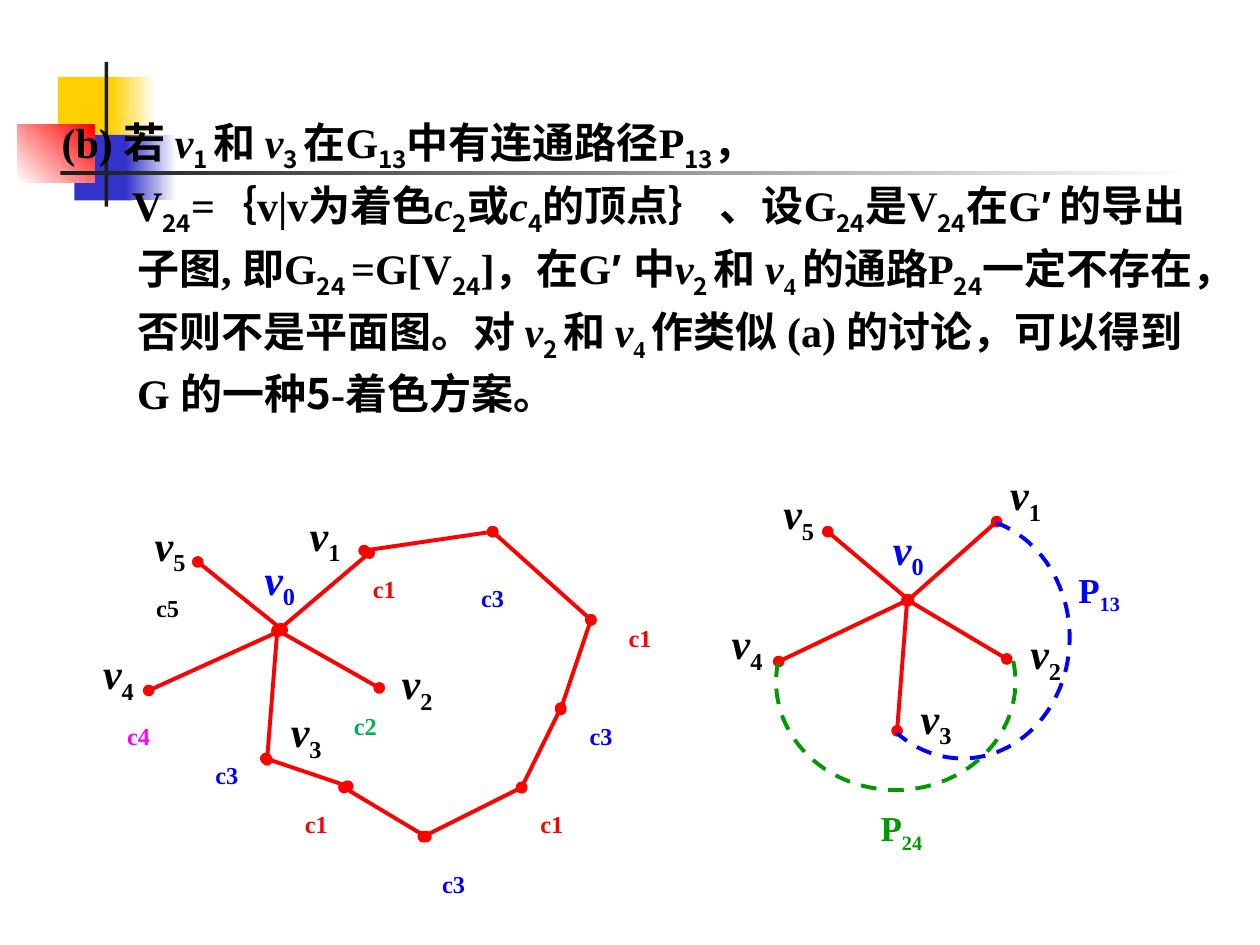
from math import cos, radians, sin

from lxml import etree
from pptx import Presentation
from pptx.dml.color import RGBColor
from pptx.enum.dml import MSO_LINE
from pptx.enum.shapes import MSO_CONNECTOR, MSO_SHAPE
from pptx.enum.text import MSO_ANCHOR, MSO_AUTO_SIZE, PP_ALIGN
from pptx.oxml.ns import qn
from pptx.util import Inches, Pt

RECT = MSO_SHAPE.RECTANGLE
STRAIGHT = MSO_CONNECTOR.STRAIGHT
DASH = MSO_LINE.DASH
MIDDLE, TOP = MSO_ANCHOR.MIDDLE, MSO_ANCHOR.TOP
CENTER, LEFT = PP_ALIGN.CENTER, PP_ALIGN.LEFT
FIT = MSO_AUTO_SIZE.SHAPE_TO_FIT_TEXT
SERIF, SANS, ARIAL = "Times New Roman", "Noto Sans CJK SC", "Arial"
COLORS = {
    "yellow": "FFCF01", "navy": "3333CC", "dark": "1C1C1C", "white": "FFFFFF",
    "red": "FF0000", "blue": "0000FF", "green": "009900", "leaf": "00B050",
    "magenta": "FF00FF", "black": "000000",
}
RGB = {name: RGBColor.from_string(value) for name, value in COLORS.items()}


def add_run(p, text, color="black", size=24, name=SERIF, italic=False, sub=False):
    r = p.add_run()
    r.text = text
    fmt = {"size": Pt(size), "bold": True, "italic": italic, "name": name}
    for key, value in fmt.items():
        setattr(r.font, key, value)
    r.font.color.rgb = RGB[color]
    rPr = r._r.get_or_add_rPr()
    if sub:
        rPr.set("baseline", "-25000")
    etree.SubElement(rPr, qn("a:ea")).set("typeface", SANS)


def add_label(shapes, x, y, w, h, runs, inset=True):
    tf = shapes.add_textbox(Inches(x), Inches(y), Inches(w), Inches(h)).text_frame
    fmt = {"word_wrap": not inset, "auto_size": FIT,
           "vertical_anchor": TOP if inset else MIDDLE}
    if not inset:
        fmt |= {"margin_" + side: 0 for side in ("left", "top", "right", "bottom")}
    for key, value in fmt.items():
        setattr(tf, key, value)
    p = tf.paragraphs[0]
    p.alignment = LEFT if inset else CENTER
    for text, style in runs:
        add_run(p, text, **style)


prs = Presentation()
prs.slide_width, prs.slide_height = Inches(10), Inches(7.5)
s = prs.slides.add_slide(prs.slide_layouts[6])

decor = [
    (0.46, 0.61, 0.48, 0.52, ["yellow"], 0),
    (0.88, 0.61, 0.36, 0.52, ["yellow", "white"], 0),
    (0.59, 1.07, 0.46, 0.52, ["navy"], 0),
    (1, 1.07, 0.4, 0.52, ["navy", "white"], 0),
    (0.14, 0.99, 0.61, 0.46, ["white", "red"], 45),
    (0.83, 0.49, 0.03, 1.15, ["dark"], 0),
    (0.48, 1.36, 9, 0.03, ["dark", "white"], 0),
]
for x, y, w, h, fills, angle in decor:
    sp = s.shapes.add_shape(RECT, Inches(x), Inches(y), Inches(w), Inches(h))
    sp.shadow.inherit = False
    sp.line.fill.background()
    if len(fills) == 1:
        sp.fill.solid()
        sp.fill.fore_color.rgb = RGB[fills[0]]
    else:
        sp.fill.gradient()
        sp.fill.gradient_angle = angle
        for stop, color in zip(sp.fill.gradient_stops, fills):
            stop.color.rgb = RGB[color]

STYLES = {
    "t": {}, "i": {"italic": True}, "n": {"name": SANS}, "a": {"name": ARIAL},
    "sub": {"name": SANS, "sub": True}, "sub_t": {"sub": True}, "small": {"size": 18},
}
body = [
    (-0.6, [
        ("(b) 若 ", "t"), ("v", "i"), ("1 ", "sub"), ("和 ", "t"), ("v", "i"),
        ("3 ", "sub"), ("在G", "t"), ("13", "sub"), ("中有连通路径P", "t"),
        ("13", "sub"), ("，", "t"),
    ]),
    (-0.04, [
        ("V", "t"), ("24", "sub"), ("=｛v|v为", "t"), ("着色", "n"), ("c", "i"),
        ("2", "sub"), ("或", "t"), ("c", "i"), ("4", "sub"), ("的顶点｝ ", "n"),
        ("、设G", "t"), ("24", "sub"), ("是V", "t"), ("24", "sub"), ("在G", "t"),
        ("′", "a"), (" ", "small"), ("的导出子图, 即G", "t"), ("24 ", "sub"),
        ("=G[V", "t"), ("24", "sub"), ("]，在G", "t"), ("′ ", "a"), ("中", "t"),
        ("v", "i"), ("2 ", "sub"), ("和 ", "t"), ("v", "i"), ("4 ", "sub_t"),
        ("的通路P", "t"), ("24", "sub"), ("一定不存在，否则不是平面图。对 ", "t"),
        ("v", "i"), ("2 ", "sub"), ("和 ", "t"), ("v", "i"), ("4 ", "sub_t"),
        ("作类似 (a) 的讨论，可以得到G 的一种", "t"), ("5", "n"), ("-着色方案。", "t"),
    ]),
]
tf = s.shapes.add_textbox(Inches(0.32), Inches(0.83), Inches(9.38), Inches(2.73)).text_frame
tf.word_wrap = True
for n, (indent, runs) in enumerate(body):
    p = tf.add_paragraph() if n else tf.paragraphs[0]
    p.line_spacing = 1.1
    pPr = p._p.get_or_add_pPr()
    pPr.set("marL", str(Inches(0.67)))
    pPr.set("indent", str(Inches(indent)))
    for text, style in runs:
        add_run(p, text, **STYLES[style])

right = s.shapes.add_group_shape().shapes
edges = [
    (s.shapes, [
        (2.2, 5.01, 2.93, 4.39), (2.2, 5, 3.01, 5.46), (2.12, 6.03, 2.2, 5.01),
        (1.57, 4.46, 2.23, 4.99), (1.18, 5.48, 2.24, 5), (2.89, 4.37, 3.91, 4.22),
        (3.91, 4.22, 4.69, 4.92), (4.45, 5.63, 4.69, 4.92), (4.14, 6.25, 4.45, 5.62),
        (3.36, 6.64, 4.14, 6.25), (2.73, 6.25, 3.38, 6.64), (2.11, 6.02, 2.76, 6.24),
    ]),
    (right, [
        (7.2, 4.77, 7.91, 4.14), (7.2, 4.76, 7.99, 5.23), (7.12, 5.8, 7.2, 4.76),
        (6.57, 4.22, 7.21, 4.76), (6.18, 5.25, 7.21, 4.76),
    ]),
]
for shapes, lines in edges:
    for line in lines:
        edge = shapes.add_connector(STRAIGHT, *map(Inches, line))
        edge.line.color.rgb = RGB["red"]
        edge.line.width = Pt(2.25)
        ln = edge.line._get_or_add_ln()
        for end in ("a:headEnd", "a:tailEnd"):
            etree.SubElement(ln, qn(end)).set("type", "oval")
        etree.SubElement(edge._element.spPr, qn("a:effectLst"))

vertices = [
    (s.shapes, 0.48, [(1.98, 4.39), (2.34, 4.04), (3.07, 5.22),
                      (2.19, 5.6), (0.7, 5.14), (1.11, 4.12)]),
    (right, 0.46, [(6.98, 4.15), (7.91, 3.72), (8.07, 4.98),
                   (7.2, 5.49), (5.7, 4.9), (6.11, 3.87)]),
]
for shapes, width, spots in vertices:
    for n, (x, y) in enumerate(spots):
        color = "black" if n else "blue"
        runs = [("v", {"color": color, "italic": True}),
                (str(n), {"color": color, "sub": True})]
        add_label(shapes, x, y, width, 0.46, runs, inset=False)

color_labels = {
    "c1": ("red", [(2.81, 4.33), (4.84, 4.72), (2.27, 6.2), (4.14, 6.2)]),
    "c2": ("leaf", [(2.66, 5.42)]),
    "c3": ("blue", [(1.56, 5.81), (3.67, 4.4), (4.53, 5.5), (3.36, 6.67)]),
    "c4": ("magenta", [(0.86, 5.5)]),
    "c5": ("black", [(1.09, 4.48)]),
}
for text, (color, spots) in color_labels.items():
    for x, y in spots:
        add_label(s.shapes, x, y, 0.48, 0.46, [(text, {"color": color, "sub": True})], inset=False)

arcs = [
    (7.64, 5.06, 0.85, 0.96, -72, 128, "blue", "13", 8.46, 4.46),
    (7.11, 5.41, 0.95, 0.86, -11, 190, "green", "24", 6.89, 6.35),
]
for cx, cy, rx, ry, start, end, color, index, x, y in arcs:
    angles = [radians(start + (end - start) * n / 60) for n in range(61)]
    points = [(Inches(cx + rx * cos(a)), Inches(cy + ry * sin(a))) for a in angles]
    builder = right.build_freeform(*points[0])
    builder.add_line_segments(points[1:], close=False)
    arc = builder.convert_to_shape()
    arc.shadow.inherit = False
    arc.fill.background()
    arc.line.color.rgb = RGB[color]
    arc.line.width = Pt(2.25)
    arc.line.dash_style = DASH
    runs = [("P", {"color": color, "size": 20}),
            (index, {"color": color, "size": 20, "sub": True})]
    add_label(right, x, y, 0.53, 0.48, runs)

prs.save("out.pptx")
